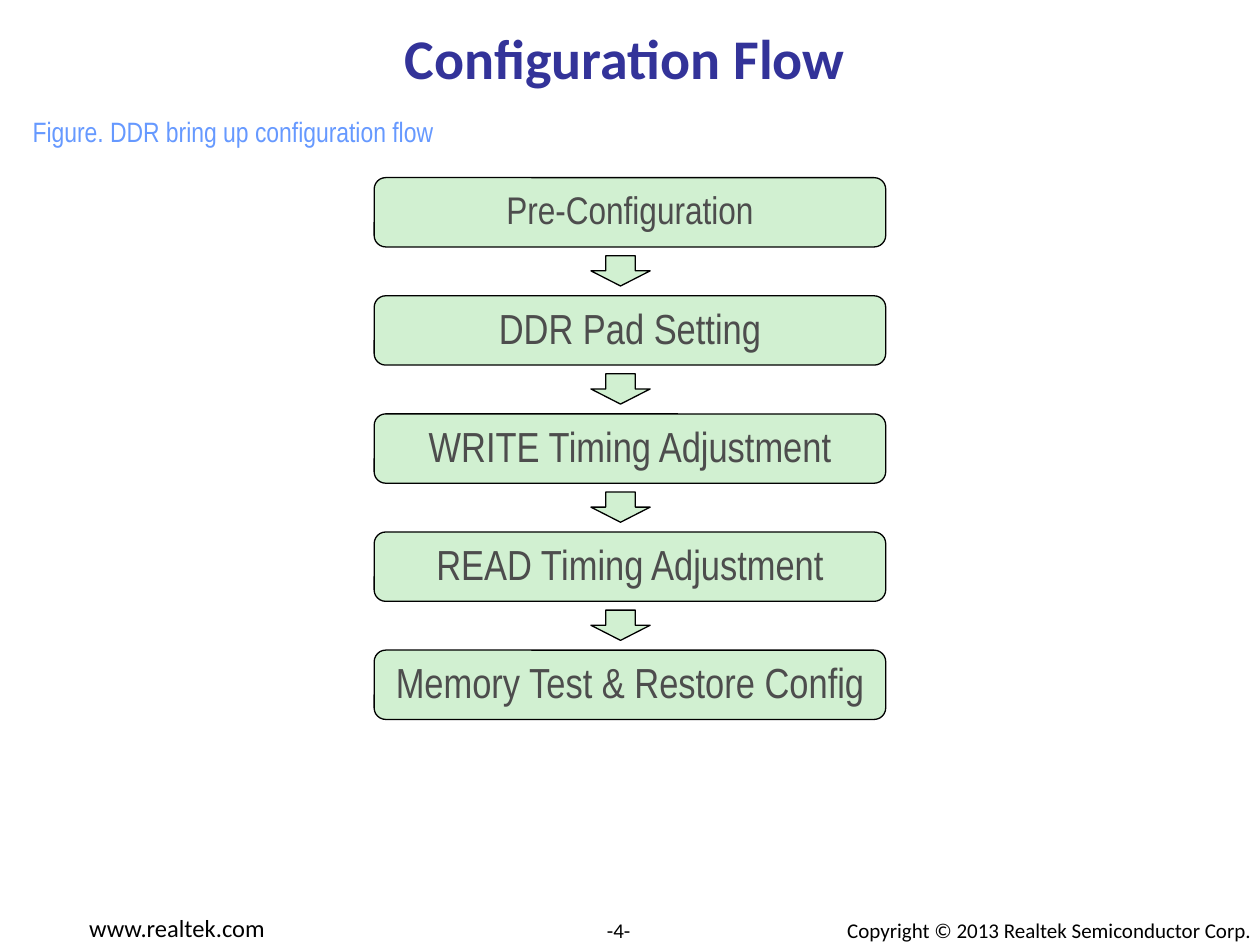
from dataclasses import dataclass

from pptx import Presentation
from pptx import util as u
from pptx.dml.color import RGBColor
from pptx.enum import shapes, text


@dataclass(frozen=True)
class Theme:
    heading_font: str = "Calibri"
    body_font: str = "Arial Narrow"
    title: str = "333399"
    caption: str = "6699FF"
    step_text: str = "4D4D4D"
    step_fill: str = "D1F0D1"
    ink: str = "000000"
    paper: str = "FFFFFF"
    title_size: int = 32
    step_size: int = 24
    first_step_size: int = 22
    caption_size: int = 16
    web_size: int = 14
    footer_size: int = 12


class FlowSlide:
    """Holds the theme and the current slide."""

    def __init__(self, deck, theme):
        self.theme = theme
        self.page = deck.slides.add_slide(deck.slide_layouts[5])
        fill = self.page.background.fill
        fill.solid()
        fill.fore_color.rgb = RGBColor.from_string(theme.paper)

    def add_text(self, box, words, size, font, color, align, anchor, bold=False):
        frame = box.text_frame
        frame.word_wrap = True
        frame.vertical_anchor = anchor
        para = frame.paragraphs[0]
        para.alignment = align
        span = para.add_run()
        span.text = words
        span.font.size = u.Pt(size)
        span.font.name = font
        span.font.bold = bold
        span.font.color.rgb = RGBColor.from_string(color)
        return para

    def title(self, words, left, top, width, height):
        box = self.page.shapes.title
        box.left, box.top = u.Inches(left), u.Inches(top)
        box.width, box.height = u.Inches(width), u.Inches(height)
        frame = box.text_frame
        frame.margin_left = frame.margin_right = 0
        frame.margin_top = frame.margin_bottom = 0
        self.add_text(box, words, self.theme.title_size, self.theme.heading_font,
                      self.theme.title, text.PP_ALIGN.CENTER,
                      text.MSO_ANCHOR.MIDDLE, bold=True)

    def label(self, words, left, top, width, height, size, font, color,
              align=text.PP_ALIGN.LEFT, anchor=text.MSO_ANCHOR.TOP):
        box = self.page.shapes.add_textbox(
            u.Inches(left), u.Inches(top), u.Inches(width), u.Inches(height))
        self.add_text(box, words, size, font, color, align, anchor)

    def footer(self, words, left, width, size, align):
        self.label(words, left, 7.03, width, 0.5, size,
                   self.theme.heading_font, self.theme.ink, align,
                   text.MSO_ANCHOR.BOTTOM)

    def block(self, kind, left, top, width, height):
        shape = self.page.shapes.add_shape(
            kind, u.Inches(left), u.Inches(top), u.Inches(width), u.Inches(height))
        shape.shadow.inherit = False
        shape.fill.solid()
        shape.fill.fore_color.rgb = RGBColor.from_string(self.theme.step_fill)
        shape.line.color.rgb = RGBColor.from_string(self.theme.ink)
        shape.line.width = u.Pt(0.75)
        return shape

    def step(self, words, top, size):
        box = self.block(shapes.MSO_SHAPE.ROUNDED_RECTANGLE, 2.97, top, 4.06, 0.55)
        para = self.add_text(box, words, size, self.theme.body_font,
                             self.theme.step_text, text.PP_ALIGN.CENTER,
                             text.MSO_ANCHOR.MIDDLE)
        para.line_spacing = 0.9
        para.space_after = u.Pt(10)

    def arrow(self, top):
        self.block(shapes.MSO_SHAPE.DOWN_ARROW, 4.69, top, 0.47, 0.24)


def main():
    theme = Theme()
    deck = Presentation()
    deck.slide_width, deck.slide_height = u.Inches(10), u.Inches(7.5)
    slide = FlowSlide(deck, theme)

    # Title and caption
    slide.title("Configuration Flow", 0.17, 0.08, 9.58, 0.75)
    slide.label("Figure. DDR bring up configuration flow", 0.16, 0.86, 3.98, 0.64,
                theme.caption_size, theme.body_font, theme.caption)

    # Steps at an equal pitch, with an arrow in each gap
    steps = ["Pre-Configuration", "DDR Pad Setting", "WRITE Timing Adjustment",
             "READ Timing Adjustment", "Memory Test & Restore Config"]
    first_top, last_top = 1.41, 5.16
    pitch = (last_top - first_top) / (len(steps) - 1)
    for index, words in enumerate(steps):
        top = first_top + index * pitch
        slide.step(words, top, theme.step_size if index else theme.first_step_size)
        if index < len(steps) - 1:
            slide.arrow(top + 0.62)

    # Footer
    slide.footer("www.realtek.com", 0.61, 2.18, theme.web_size, text.PP_ALIGN.LEFT)
    slide.footer("-4-", 4.45, 0.92, theme.footer_size, text.PP_ALIGN.CENTER)
    slide.footer("Copyright © 2013 Realtek Semiconductor Corp.", 5.7, 4.33,
                 theme.footer_size, text.PP_ALIGN.RIGHT)

    deck.save("out.pptx")


if __name__ == "__main__":
    main()
